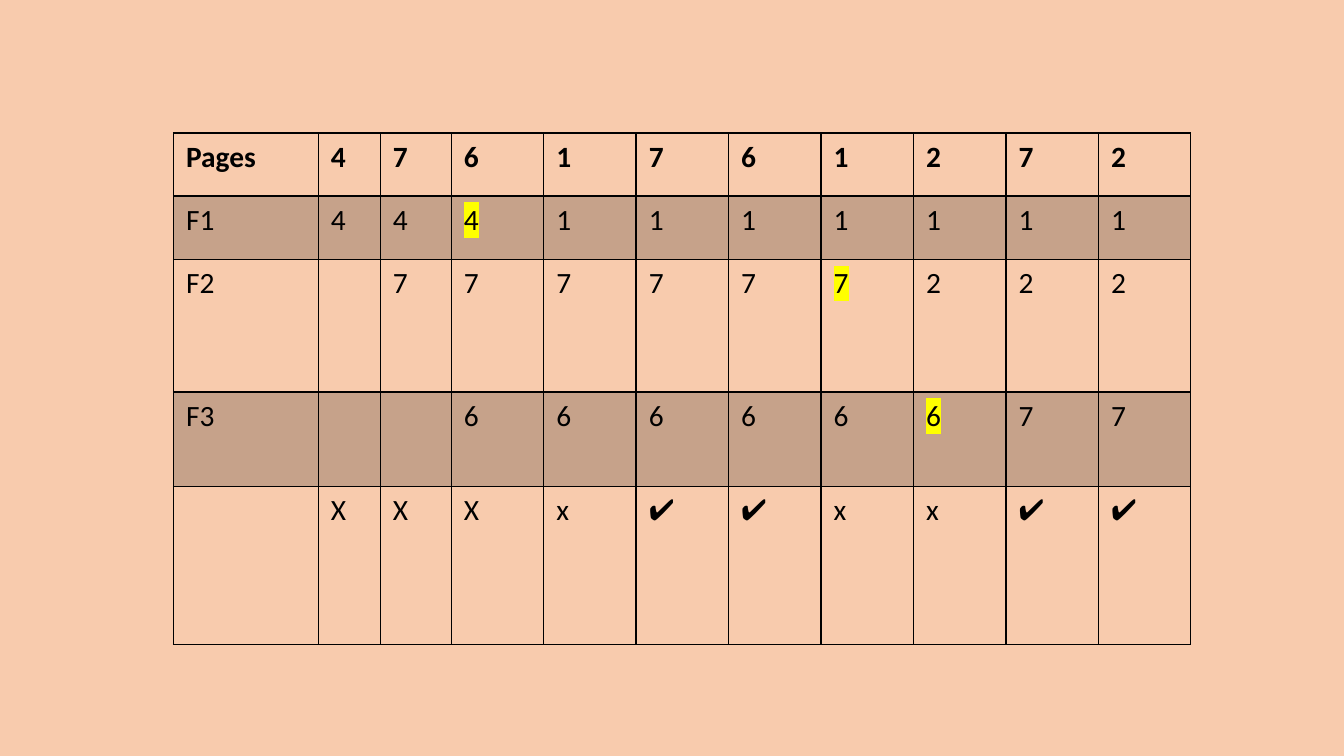
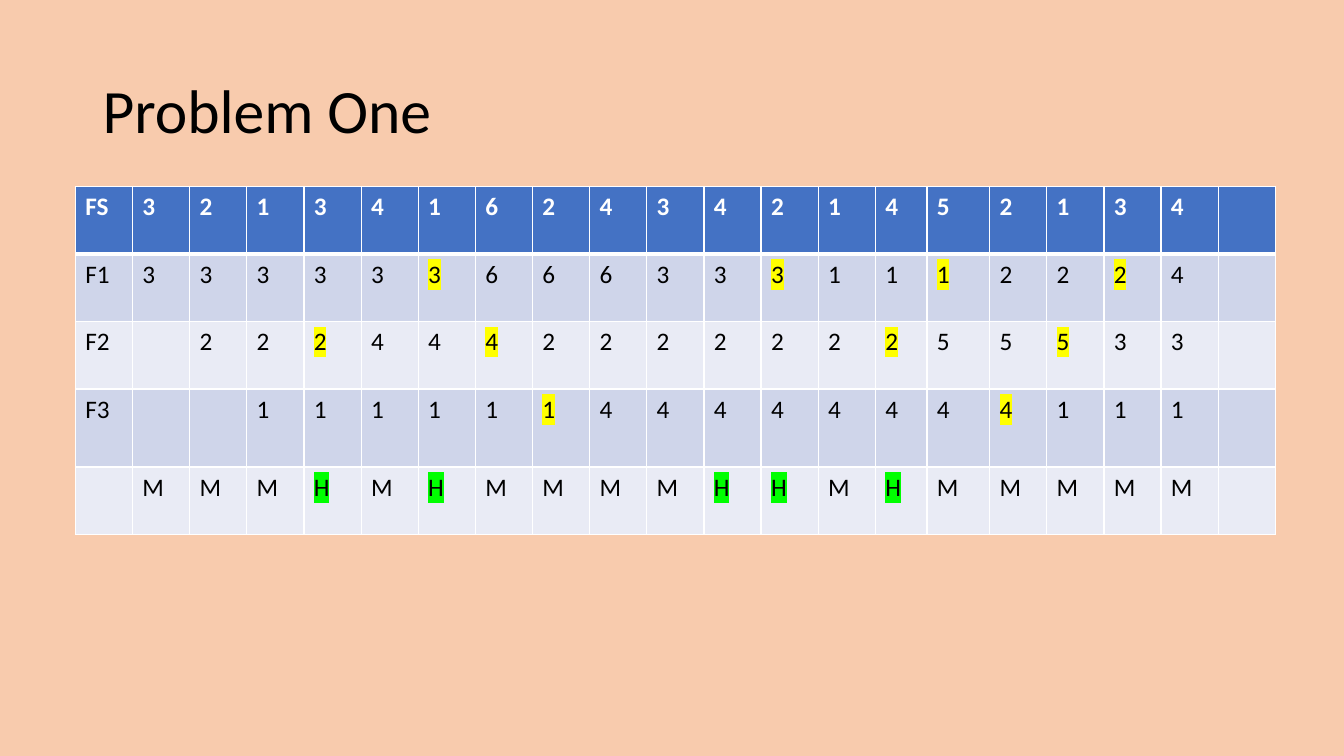
from lxml import etree
from pptx import Presentation
from pptx.dml.color import RGBColor
from pptx.enum import text
from pptx.oxml import ns
from pptx.util import Cm, Pt

# Shared look
FONT = "Calibri"
PEACH = RGBColor(0xF8, 0xCB, 0xAD)
BLACK = RGBColor(0, 0, 0)
WHITE = RGBColor(0xFF, 0xFF, 0xFF)
BLUE = RGBColor(0x44, 0x72, 0xC4)
BLUE_BAND = RGBColor(0xCF, 0xD5, 0xEA)
PALE_BAND = RGBColor(0xE9, 0xEB, 0xF5)
YELLOW = RGBColor(0xFF, 0xFF, 0)
GREEN = RGBColor(0, 0xFF, 0)

# Content: "-" is an empty cell, "*" marks a page about to be replaced
PAGES = {
    "rows": [
        "Pages 4 7 6 1 7 6 1 2 7 2",
        "F1 4 4 4* 1 1 1 1 1 1 1",
        "F2 - 7 7 7 7 7 7* 2 2 2",
        "F3 - - 6 6 6 6 6 6* 7 7",
        "- X X X x ✔ ✔ x x ✔ ✔",
    ],
    "at": (4.37, 3.35),
    "widths": [3.65, 1.56, 1.79] + [2.33] * 8,
    "heights": [1.59, 1.59, 3.35, 2.38, 3.99],
    "margins": (0.32, 0.16),
    "size": 21,
    "header": (None, BLACK),
    "bands": (BLACK, None),
    "band_alpha": 20,
    "line": BLACK,
    "header_line": 2,
}
PROBLEM = {
    "rows": [
        "FS 3 2 1 3 4 1 6 2 4 3 4 2 1 4 5 2 1 3 4 -",
        "F1 3 3 3 3 3 3* 6 6 6 3 3 3* 1 1 1* 2 2 2* 4 -",
        "F2 - 2 2 2* 4 4 4* 2 2 2 2 2 2 2* 5 5 5* 3 3 -",
        "F3 - - 1 1 1 1 1 1* 4 4 4 4 4 4 4 4* 1 1 1 -",
        "- M M M H M H M M M M H H M H M M M M M -",
    ],
    "at": (1.9, 4.7),
    "widths": [1.44] * 14 + [1.3, 1.58] + [1.44] * 5,
    "heights": [1.7, 1.7, 1.7, 1.97, 1.7],
    "margins": (0.25, 0.13),
    "size": 18,
    "header": (BLUE, WHITE),
    "bands": (BLUE_BAND, PALE_BAND),
    "band_alpha": 100,
    "line": WHITE,
    "header_line": 3,
}


def add_color(parent, color, alpha=100):
    clr = etree.SubElement(parent, ns.qn("a:srgbClr"), val=str(color))
    if alpha < 100:
        etree.SubElement(clr, ns.qn("a:alpha"), val=str(alpha * 1000))


def set_borders(cell, color, top, bottom):
    tcPr = cell._tc.get_or_add_tcPr()
    for side, width in (("L", 1), ("R", 1), ("T", top), ("B", bottom)):
        ln = etree.SubElement(tcPr, ns.qn("a:ln" + side), w=str(Pt(width)))
        add_color(etree.SubElement(ln, ns.qn("a:solidFill")), color)


def set_fill(cell, color, alpha):
    if color is None:
        cell.fill.background()
        return
    cell.fill.solid()
    cell.fill.fore_color.rgb = color
    if alpha < 100:
        clr = cell._tc.tcPr.find(".//" + ns.qn("a:solidFill") + "[last()]")
        fill = cell._tc.tcPr.findall(ns.qn("a:solidFill"))[0]
        fill.clear()
        add_color(fill, color, alpha)


def write_cell(cell, label, size, color, bold):
    p = cell.text_frame.paragraphs[0]
    p.font.name, p.font.size = FONT, Pt(size)
    p.font.color.rgb, p.font.bold = color, bold
    if label == "-":
        return
    r = p.add_run()
    r.text = label.rstrip("*")
    mark = YELLOW if label.endswith("*") else GREEN if label == "H" else None
    if mark is not None:
        add_color(etree.SubElement(r._r.get_or_add_rPr(), ns.qn("a:highlight")), mark)


def add_frames_table(slide, data):
    rows = [row.split() for row in data["rows"]]
    widths, heights = data["widths"], data["heights"]
    table = slide.shapes.add_table(
        len(rows), len(widths), *map(Cm, data["at"]), Cm(sum(widths)), Cm(sum(heights))
    ).table
    table.horz_banding = False
    for column, width in zip(table.columns, widths):
        column.width = Cm(width)
    for i, (labels, height) in enumerate(zip(rows, heights)):
        table.rows[i].height = Cm(height)
        fill, color = (data["bands"][(i - 1) % 2], BLACK) if i else data["header"]
        top = data["header_line"] if i == 1 else 1
        bottom = data["header_line"] if i == 0 else 1
        for j, label in enumerate(labels):
            cell = table.cell(i, j)
            cell.margin_left = cell.margin_right = Cm(data["margins"][0])
            cell.margin_top = cell.margin_bottom = Cm(data["margins"][1])
            set_borders(cell, data["line"], top, bottom)
            set_fill(cell, fill, data["band_alpha"])
            write_cell(cell, label, data["size"], color, i == 0)


def add_title(slide, title):
    sp = slide.shapes.title
    sp.left, sp.top, sp.width, sp.height = Cm(2.33), Cm(1.01), Cm(29.21), Cm(3.68)
    tf = sp.text_frame
    tf.text = title
    tf.vertical_anchor = text.MSO_ANCHOR.MIDDLE
    p = tf.paragraphs[0]
    p.alignment, p.line_spacing = text.PP_ALIGN.LEFT, 0.9
    p.font.name, p.font.size, p.font.color.rgb = FONT, Pt(44), BLACK


def main():
    prs = Presentation()
    prs.slide_width, prs.slide_height = Cm(33.87), Cm(19.05)
    background = prs.slide_master.background.fill
    background.solid()
    background.fore_color.rgb = PEACH
    title_only, blank = prs.slide_layouts[5], prs.slide_layouts[6]

    # Page faults table
    add_frames_table(prs.slides.add_slide(blank), PAGES)

    # Problem one
    slide = prs.slides.add_slide(title_only)
    add_title(slide, "Problem One")
    add_frames_table(slide, PROBLEM)

    prs.save("out.pptx")


if __name__ == "__main__":
    main()
